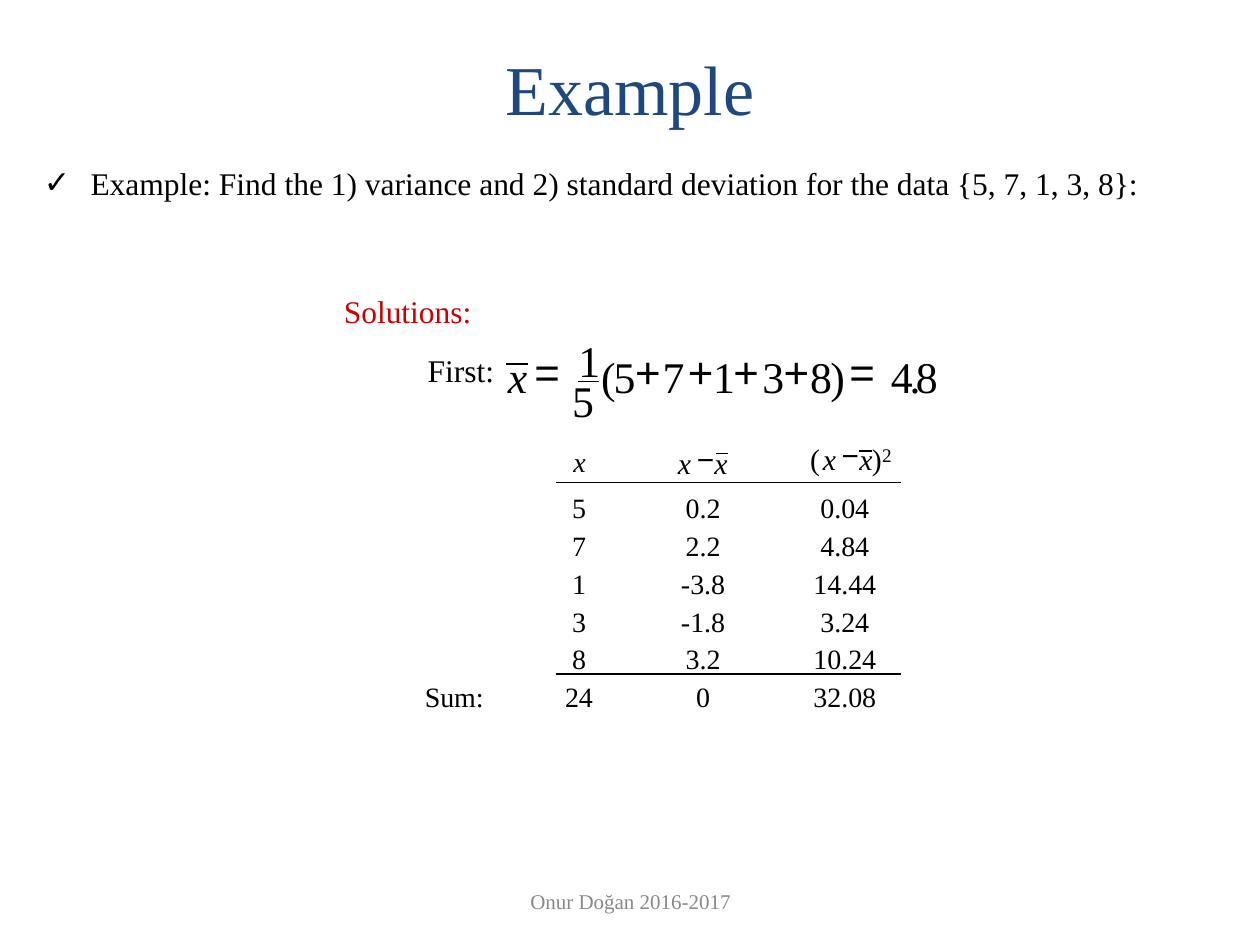
"""Build a slide that works out the mean and squared deviations of a small data set."""
from dataclasses import dataclass

import pptx
import pptx.dml.color
import pptx.enum.shapes
import pptx.enum.text
import pptx.oxml
import pptx.oxml.ns
import pptx.util
from pptx.util import Inches

RGBColor = pptx.dml.color.RGBColor
PP_ALIGN = pptx.enum.text.PP_ALIGN
MSO_ANCHOR = pptx.enum.text.MSO_ANCHOR
MSO_AUTO_SIZE = pptx.enum.text.MSO_AUTO_SIZE

BLACK = RGBColor(0x00, 0x00, 0x00)
NAVY = RGBColor(0x1F, 0x49, 0x7D)
RED = RGBColor(0xCC, 0x00, 0x00)
GREY = RGBColor(0x89, 0x89, 0x89)
SERIF = "Times New Roman"
SANS = "Arial"


@dataclass
class Glyph:
    text: str
    left: float
    top: float
    width: float
    size: float
    font: str = SERIF
    italic: bool = False


@dataclass
class Rule:
    left: float
    right: float
    y: float
    weight: float = 0.75


MEAN_TOP, MEAN_SIZE = 2.78, 25
MEAN_DIGITS = [("5", 4.87), ("7", 5.26), ("1", 5.66), ("3", 6.05),
               ("8", 6.43), ("4", 7.07), ("8", 7.27)]
MEAN_MARKS = [("(", 4.77, 0.12), (")", 6.59, 0.12), (".", 7.22, 0.09)]
MEAN_SIGNS = [("=", 4.24, 0.28), ("+", 5.04, 0.2), ("+", 5.46, 0.2),
              ("+", 5.82, 0.2), ("+", 6.22, 0.2), ("=", 6.74, 0.28)]

MEAN = [
    Glyph("x", 4.03, MEAN_TOP, 0.15, MEAN_SIZE, italic=True),
    Glyph("1", 4.59, 2.65, 0.17, MEAN_SIZE),
    Glyph("5", 4.54, 2.97, 0.17, MEAN_SIZE),
    *(Glyph(t, x, MEAN_TOP, 0.17, MEAN_SIZE) for t, x in MEAN_DIGITS),
    *(Glyph(t, x, MEAN_TOP, w, MEAN_SIZE) for t, x, w in MEAN_MARKS),
    *(Glyph(t, x, 2.74, w, MEAN_SIZE, SANS) for t, x, w in MEAN_SIGNS),
]


def deviation(left: float, top: float) -> list[Glyph]:
    return [
        Glyph("x", left, top, 0.11, 17, italic=True),
        Glyph("−", left + 0.15, top - 0.03, 0.08, 17, SANS),
        Glyph("x", left + 0.29, top, 0.11, 17, italic=True),
    ]


HEADINGS = [
    Glyph("x", 4.55, 3.53, 0.1, 16, italic=True),
    *deviation(5.38, 3.53),
    Glyph("(", 6.43, 3.5, 0.08, 17),
    *deviation(6.53, 3.5),
    Glyph(")", 6.92, 3.5, 0.08, 17),
    Glyph("2", 7, 3.52, 0.08, 11),
]

RULES = [
    Rule(4.41, 7.15, 3.83),
    Rule(4.41, 7.15, 5.35),
    Rule(4.02, 4.19, 2.89, 1),
    Rule(4.59, 4.75, 3.03, 0.5),
    Rule(5.68, 5.78, 3.6),
    Rule(6.82, 6.92, 3.58),
]

COLUMNS = [1.13, 0.85, 1.12, 1.13]
ROWS = [
    ("", "5", "0.2", "0.04"),
    ("", "7", "2.2", "4.84"),
    ("", "1", "-3.8", "14.44"),
    ("", "3", "-1.8", "3.24"),
    ("", "8", "3.2", "10.24"),
    ("Sum:", "24", "0", "32.08"),
]


def set_text(tf, text: str, *, size: float = 18, font: str = SERIF,
             color: RGBColor = BLACK, italic: bool = False,
             align: PP_ALIGN = PP_ALIGN.LEFT):
    p = tf.paragraphs[0]
    p.alignment = align
    r = p.add_run()
    r.text = text
    r.font.name = font
    r.font.size = pptx.util.Pt(size)
    r.font.italic = italic
    r.font.color.rgb = color
    return p


def add_text(s, text: str, left: float, top: float, width: float, height: float,
             *, anchor: MSO_ANCHOR = MSO_ANCHOR.TOP, **style):
    tf = s.shapes.add_textbox(Inches(left), Inches(top), Inches(width), Inches(height)).text_frame
    tf.word_wrap = True
    tf.vertical_anchor = anchor
    return set_text(tf, text, **style)


def add_glyph(s, g: Glyph) -> None:
    height = g.size / 60
    sp = s.shapes.add_textbox(Inches(g.left), Inches(g.top), Inches(g.width), Inches(height))
    tf = sp.text_frame
    tf.margin_left = tf.margin_right = tf.margin_top = tf.margin_bottom = 0
    tf.word_wrap = False
    tf.auto_size = MSO_AUTO_SIZE.SHAPE_TO_FIT_TEXT
    set_text(tf, g.text, size=g.size, font=g.font, italic=g.italic)


def add_rule(s, rule: Rule) -> None:
    cx = s.shapes.add_connector(pptx.enum.shapes.MSO_CONNECTOR.STRAIGHT,
                                Inches(rule.left), Inches(rule.y),
                                Inches(rule.right), Inches(rule.y))
    cx.line.color.rgb = BLACK
    cx.line.width = pptx.util.Pt(rule.weight)
    cx._element.spPr.append(pptx.oxml.parse_xml(
        f"<a:effectLst {pptx.oxml.ns.nsdecls('a')}/>"))


def add_check(p) -> None:
    pPr = p._p.get_or_add_pPr()
    pPr.set("marL", str(Inches(0.37)))
    pPr.set("indent", str(Inches(-0.37)))
    for xml in ('<a:buClr {}><a:srgbClr val="000000"/></a:buClr>',
                '<a:buFont {} typeface="Arial"/>',
                '<a:buChar {} char="✓"/>'):
        pPr.append(pptx.oxml.parse_xml(xml.format(pptx.oxml.ns.nsdecls("a"))))


def add_deviations(s) -> None:
    row_height = Inches(0.292)
    table = s.shapes.add_table(len(ROWS), len(COLUMNS), Inches(3.04), Inches(3.89),
                               Inches(sum(COLUMNS)), row_height * len(ROWS)).table
    table.first_row = table.horz_banding = False
    for column, width in zip(table.columns, COLUMNS):
        column.width = Inches(width)
    for row, values in zip(table.rows, ROWS):
        row.height = row_height
        for cell, value in zip(row.cells, values):
            cell.fill.background()
            cell.margin_top = cell.margin_bottom = 0
            cell.vertical_anchor = MSO_ANCHOR.MIDDLE
            set_text(cell.text_frame, value, size=16, align=PP_ALIGN.CENTER)


def main() -> None:
    prs = pptx.Presentation()
    prs.slide_width, prs.slide_height = Inches(10), Inches(7.5)
    s = prs.slides.add_slide(prs.slide_layouts[5])

    title = s.shapes.title
    title.left, title.top = Inches(0.5), Inches(0.3)
    title.width, title.height = Inches(9), Inches(0.79)
    title.text_frame.vertical_anchor = MSO_ANCHOR.MIDDLE
    set_text(title.text_frame, "Example", size=40, color=NAVY, align=PP_ALIGN.CENTER)

    add_check(add_text(
        s, "Example: Find the 1) variance and 2) standard deviation for the data {5, 7, 1, 3, 8}:",
        0.25, 1.25, 9.42, 0.63))
    add_text(s, "Solutions:", 2.63, 2.27, 1.91, 0.67, color=RED)
    add_text(s, "First:", 2.11, 2.74, 1.91, 0.67, align=PP_ALIGN.RIGHT)
    add_deviations(s)
    for g in MEAN + HEADINGS:
        add_glyph(s, g)
    for rule in RULES:
        add_rule(s, rule)
    add_text(s, "Onur Doğan 2016-2017", 3.42, 6.95, 3.17, 0.4, size=12, color=GREY,
             align=PP_ALIGN.CENTER, anchor=MSO_ANCHOR.MIDDLE)
    prs.save("out.pptx")


if __name__ == "__main__":
    main()
